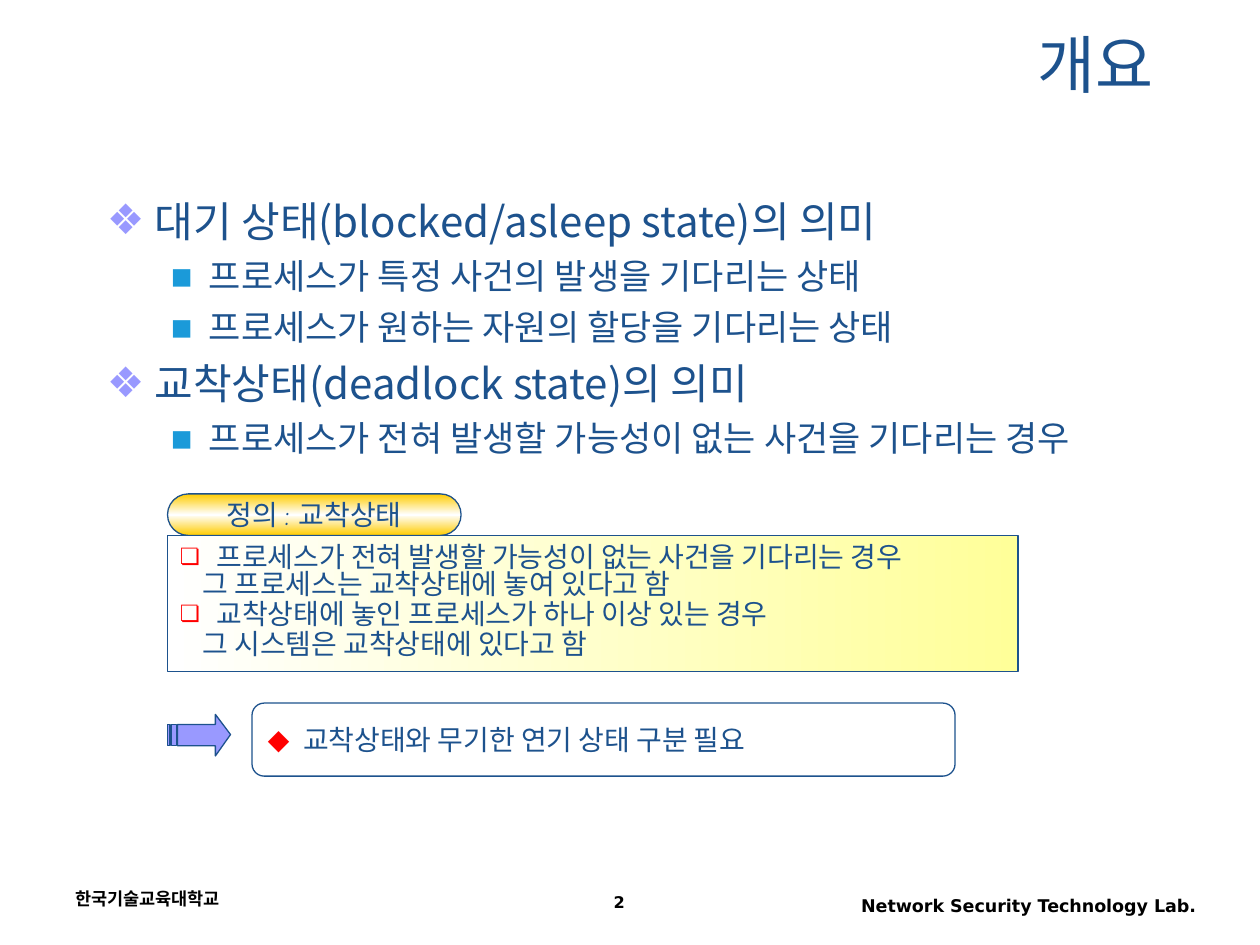
from dataclasses import dataclass
from typing import Optional

from lxml import etree
from pptx import Presentation
from pptx.dml.color import RGBColor
from pptx.enum.shapes import MSO_SHAPE
from pptx.enum.text import MSO_ANCHOR, PP_ALIGN
from pptx.oxml.ns import qn
from pptx.util import Inches, Pt

LEFT, CENTER, RIGHT = PP_ALIGN.LEFT, PP_ALIGN.CENTER, PP_ALIGN.RIGHT
TOP, MIDDLE = MSO_ANCHOR.TOP, MSO_ANCHOR.MIDDLE
PILL, BOX, CARD = (MSO_SHAPE.ROUNDED_RECTANGLE, MSO_SHAPE.RECTANGLE,
                   MSO_SHAPE.FLOWCHART_ALTERNATE_PROCESS)

COLORS = {"navy": "1D528D", "black": "000000", "lilac": "9999FF", "sky": "1B9AD9",
          "red": "FF0000", "gold": "FFCC00", "white": "FFFFFF", "cream": "FFFF99"}
KOREAN, SANS, COMIC = "Noto Sans CJK KR", "DejaVu Sans", "Comic Neue"


@dataclass
class Bullet:
    char: str
    color: str
    percent: int = 100


@dataclass
class Line:
    text: str
    size: float
    bullet: Optional[Bullet] = None
    margin: float = 0
    before: float = 0
    spacing: float = 1.0
    level: int = 0


@dataclass
class Footer:
    box: tuple
    line: Line
    align: PP_ALIGN


def rgb(name: str) -> RGBColor:
    return RGBColor.from_string(COLORS[name])


def add_bullet(paragraph, bullet: Bullet, margin: float, hang: float) -> None:
    props = paragraph._p.get_or_add_pPr()
    props.set("marL", str(Inches(margin)))
    props.set("indent", str(-Inches(hang)))
    color = etree.SubElement(props, qn("a:buClr"))
    etree.SubElement(color, qn("a:srgbClr"), val=COLORS[bullet.color])
    etree.SubElement(props, qn("a:buSzPct"), val=str(bullet.percent * 1000))
    etree.SubElement(props, qn("a:buFont"), typeface=SANS)
    etree.SubElement(props, qn("a:buChar"), char=bullet.char)


def write(shape, lines: list[Line], *, font: str, color: str = "navy", bold: bool = False,
          align: PP_ALIGN = LEFT, anchor: MSO_ANCHOR = TOP) -> None:
    frame = shape.text_frame
    frame.word_wrap = True
    frame.vertical_anchor = anchor
    for index, line in enumerate(lines):
        paragraph = frame.add_paragraph() if index else frame.paragraphs[0]
        paragraph.alignment = align
        paragraph.level = line.level
        paragraph.line_spacing = line.spacing
        paragraph.space_before = Pt(line.before if index else 0)
        if line.bullet:
            hang = 0.31 if line.level else line.margin
            add_bullet(paragraph, line.bullet, line.margin, hang)
        elif line.margin:
            paragraph._p.get_or_add_pPr().set("marL", str(Inches(line.margin)))
        run = paragraph.add_run()
        run.text = line.text
        run.font.name, run.font.size, run.font.bold = font, Pt(line.size), bold
        run.font.color.rgb = rgb(color)
        etree.SubElement(run._r.get_or_add_rPr(), qn("a:ea"), typeface=KOREAN)


def add_text(slide, box: tuple, lines: list[Line], **style) -> None:
    write(slide.shapes.add_textbox(*map(Inches, box)), lines, **style)


def outline(shape) -> None:
    shape.shadow.inherit = False
    shape.line.color.rgb = rgb("navy")
    shape.line.width = Pt(0.75)


def add_panel(slide, kind: MSO_SHAPE, box: tuple, lines: list[Line], *,
              gradient: tuple = (), angle: int = 0, align: PP_ALIGN = LEFT):
    panel = slide.shapes.add_shape(kind, *map(Inches, box))
    outline(panel)
    if gradient:
        panel.fill.gradient()
        panel.fill.gradient_angle = angle
        stops = panel._element.spPr.find(".//" + qn("a:gsLst"))
        for stop in list(stops):
            stops.remove(stop)
        for index, name in enumerate(gradient):
            position = 100000 * index // (len(gradient) - 1)
            stop = etree.SubElement(stops, qn("a:gs"), pos=str(position))
            etree.SubElement(stop, qn("a:srgbClr"), val=COLORS[name])
    else:
        panel.fill.background()
    write(panel, lines, font=COMIC, align=align, anchor=MIDDLE)
    return panel


def add_striped_arrow(slide) -> None:
    top, upper, middle, lower, bottom = 5.67, 5.75, 5.83, 5.92, 6.0
    head = [(1.71, top), (1.71, upper), (1.41, upper), (1.41, lower),
            (1.71, lower), (1.71, bottom), (1.83, middle)]
    stripes = [[(left, upper), (left, lower), (right, lower), (right, upper)]
               for left, right in ((1.36, 1.4), (1.33, 1.35))]
    builder = slide.shapes.build_freeform(*map(Inches, head[0]))
    for number, contour in enumerate([head, *stripes]):
        points = [(Inches(x), Inches(y)) for x, y in contour]
        if number:
            builder.move_to(*points[0])
        builder.add_line_segments(points[1:], close=True)
    arrow = builder.convert_to_shape()
    outline(arrow)
    arrow.fill.solid()
    arrow.fill.fore_color.rgb = rgb("lilac")


def topic(text: str) -> Line:
    return Line(text, 24, Bullet("❖", "lilac"), margin=0.38, before=6)


def detail(text: str) -> Line:
    return Line(text, 20, Bullet("▪", "sky"), margin=0.81, before=5, level=1)


def case(text: str, spacing: float) -> Line:
    return Line(text, 16, Bullet("❏", "red", 80), margin=0.29, spacing=spacing)


def result(text: str, spacing: float) -> Line:
    return Line(text, 16, margin=0.18, spacing=spacing)


FOOTERS = [
    Footer((0.5, 7, 2.33, 0.33), Line("한국기술교육대학교", 10), LEFT),
    Footer((6.42, 7.05, 3.17, 0.32), Line("Network Security Technology Lab.", 10), RIGHT),
    Footer((3.75, 7.05, 2.33, 0.28), Line("2", 9.2, spacing=0.9), CENTER),
]
TOPICS = [
    topic("대기 상태(blocked/asleep state)의 의미"),
    detail("프로세스가 특정 사건의 발생을 기다리는 상태"),
    detail("프로세스가 원하는 자원의 할당을 기다리는 상태"),
    topic("교착상태(deadlock state)의 의미"),
    detail("프로세스가 전혀 발생할 가능성이 없는 사건을 기다리는 경우"),
]
DEFINITION = [
    case("프로세스가 전혀 발생할 가능성이 없는 사건을 기다리는 경우", 0.8),
    result("그 프로세스는 교착상태에 놓여 있다고 함", 0.8),
    case("교착상태에 놓인 프로세스가 하나 이상 있는 경우", 0.9),
    result("그 시스템은 교착상태에 있다고 함", 0.9),
]
REMARK = Line("교착상태와 무기한 연기 상태 구분 필요", 16, Bullet("◆", "red"), margin=0.28)


def main() -> None:
    deck = Presentation()
    deck.slide_width, deck.slide_height = Inches(10), Inches(7.5)
    slide = deck.slides.add_slide(deck.slide_layouts[6])

    # Footer
    for footer in FOOTERS:
        add_text(slide, footer.box, [footer.line], font=SANS, color="black",
                 bold=True, align=footer.align)

    # Topics
    add_text(slide, (0.75, 1.5, 8.67, 2.25), TOPICS, font=KOREAN)

    # Definition with its heading
    heading = add_panel(slide, PILL, (1.33, 3.92, 2.33, 0.33), [Line("정의 : 교착상태", 16)],
                        gradient=("gold", "white", "gold"), angle=90, align=CENTER)
    heading.adjustments[0] = 0.5
    add_panel(slide, BOX, (1.33, 4.25, 6.75, 1.08), DEFINITION, gradient=("white", "cream"))

    # Remark and the arrow to it
    add_panel(slide, CARD, (2, 5.58, 5.58, 0.58), [REMARK])
    add_striped_arrow(slide)

    # Title
    add_text(slide, (0.75, 0.17, 8.5, 0.66), [Line("개요", 36)], font=KOREAN,
             align=RIGHT, anchor=MIDDLE)

    deck.save("out.pptx")


if __name__ == "__main__":
    main()
